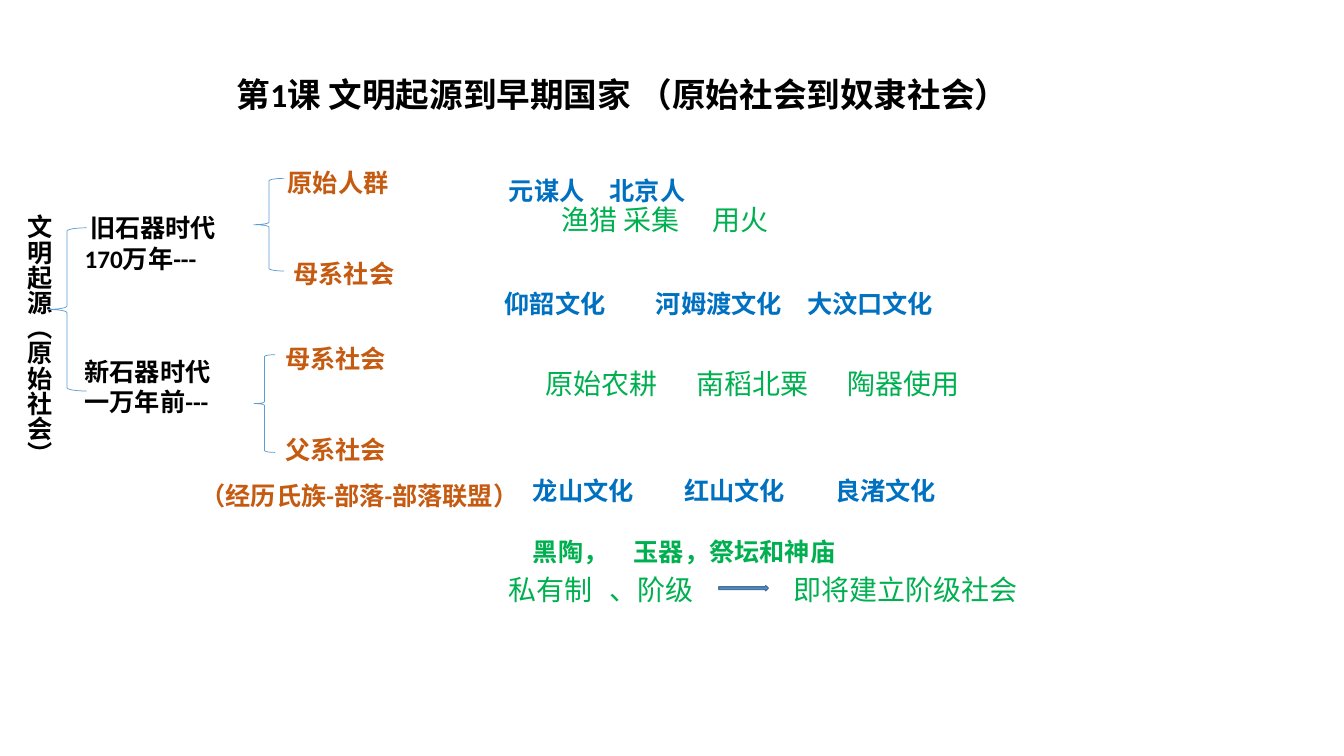
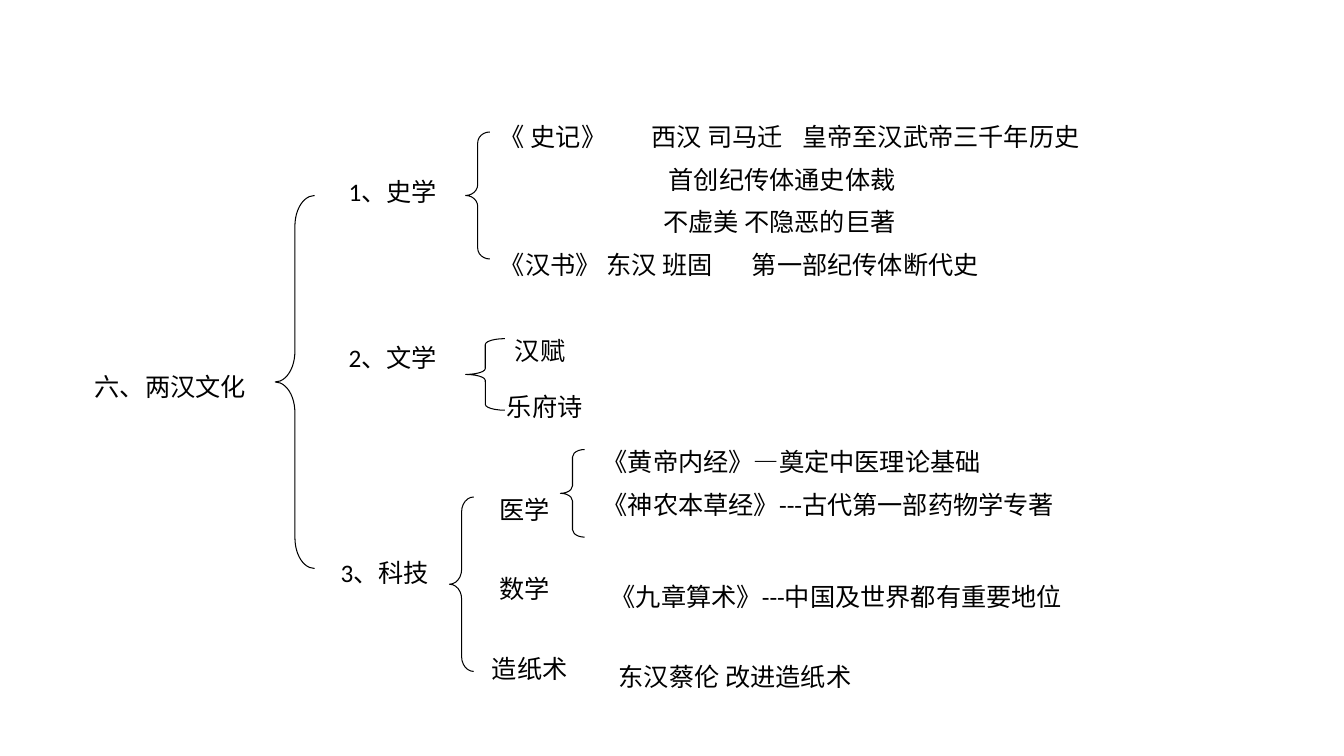
from collections import namedtuple

from lxml import etree
from pptx import Presentation
from pptx.dml.color import RGBColor
from pptx.enum.lang import MSO_LANGUAGE_ID
from pptx.enum.shapes import MSO_SHAPE
from pptx.enum.text import MSO_ANCHOR, MSO_AUTO_SIZE, PP_ALIGN
from pptx.oxml.ns import qn
from pptx.util import Pt

LEFT_BRACE = MSO_SHAPE.LEFT_BRACE
RIGHT_ARROW = MSO_SHAPE.RIGHT_ARROW
TOP = MSO_ANCHOR.TOP
GROW = MSO_AUTO_SIZE.SHAPE_TO_FIT_TEXT
ALIGN_LEFT = PP_ALIGN.LEFT
CHINESE = MSO_LANGUAGE_ID.SIMPLIFIED_CHINESE

# Shared look
BLACK = RGBColor(0x00, 0x00, 0x00)
ORANGE = RGBColor(0xC5, 0x5A, 0x11)
BLUE = RGBColor(0x00, 0x70, 0xC0)
GREEN = RGBColor(0x00, 0xB0, 0x50)
LINE_BLUE = RGBColor(0x5B, 0x9B, 0xD5)
ARROW_EDGE = RGBColor(0x43, 0x73, 0x9E)
LATIN_FONT = "Calibri"
CHINESE_FONT = "Noto Sans CJK SC"

TITLE_LAYOUT = 5
CONTENT_LAYOUT = 1
ROW = 28.8       # box height of one 18 pt line
TALL_ROW = 31.7  # box height of one 20 pt line
LINE = 21.7      # height of one 18 pt line
HALF = 9         # gap between list lines

Style = namedtuple("Style", "size color bold font", defaults=(BLACK, False, LATIN_FONT))
# tabs are distances from the left of the text, one for each tab character
Line = namedtuple("Line", "text indent before tabs style", defaults=(0, 0, (), None))

HEADING = Style(24, BLACK, True)
PERIOD = Style(18, BLACK, True)
SOCIETY = Style(18, ORANGE, True)
CULTURE = Style(18, BLUE, True, CHINESE_FONT)
RELIC = Style(18, GREEN, True, CHINESE_FONT)
FEATURE = Style(20, GREEN, False, CHINESE_FONT)
PLAIN = Style(18)


def place(shape, box):
    shape.left, shape.top, shape.width, shape.height = (Pt(length) for length in box)


def add_run(paragraph, text, style):
    run = paragraph.add_run()
    run.text = text
    font = run.font
    font.size = Pt(style.size)
    font.bold = style.bold
    font.color.rgb = style.color
    font.name = style.font
    font.language_id = CHINESE
    latin = run._r.rPr.find(qn("a:latin"))
    east_asian = etree.Element(qn("a:ea"), typeface=CHINESE_FONT)
    latin.addnext(east_asian)


def format_paragraph(paragraph, line):
    """Set alignment, gap, indent and tab stops, without a bullet."""
    paragraph.alignment = ALIGN_LEFT
    paragraph.space_before = Pt(line.before)
    properties = paragraph._p.get_or_add_pPr()
    properties.set("marL", str(Pt(line.indent)))
    properties.set("indent", "0")
    etree.SubElement(properties, qn("a:buNone"))
    if line.tabs:
        stops = etree.SubElement(properties, qn("a:tabLst"))
        for position in line.tabs:
            etree.SubElement(stops, qn("a:tab"), pos=str(Pt(position)), algn="l")


def fill_text(shape, box, lines, style):
    place(shape, box)
    frame = shape.text_frame
    frame.word_wrap = True
    frame.auto_size = GROW
    frame.vertical_anchor = TOP
    for index, line in enumerate(lines):
        paragraph = frame.add_paragraph() if index else frame.paragraphs[0]
        format_paragraph(paragraph, line)
        add_run(paragraph, line.text, line.style or style)


def add_label(slide, box, style, *lines):
    shape = slide.shapes.add_textbox(0, 0, 0, 0)
    fill_text(shape, box, lines, style)
    return shape


def add_title(slide, box, text, style):
    fill_text(slide.shapes.title, box, [Line(text)], style)


def add_preset(slide, kind, box, line_color, line_width):
    shape = slide.shapes.add_shape(kind, *(Pt(length) for length in box))
    shape.shadow.inherit = False
    shape.line.color.rgb = line_color
    shape.line.width = Pt(line_width)
    return shape


def add_brace(slide, box, color, width, curve=0.083):
    brace = add_preset(slide, LEFT_BRACE, box, color, width)
    brace.fill.background()
    brace.adjustments[0] = curve


def add_arrow(slide, box):
    arrow = add_preset(slide, RIGHT_ARROW, box, ARROW_EDGE, 1)
    arrow.fill.solid()
    arrow.fill.fore_color.rgb = LINE_BLUE


def build_origins(presentation):
    slide = presentation.slides.add_slide(presentation.slide_layouts[TITLE_LAYOUT])
    add_title(slide, (162, 49, 569.5, 36),
              "第1课 文明起源到早期国家 （原始社会到奴隶社会）", HEADING)

    # Root and periods
    root = add_label(slide, (6.5, 146.2, 36, 222.5), PERIOD, Line("文明起源（原始社会）"))
    root.text_frame._txBody.bodyPr.set("vert", "eaVert")
    add_label(slide, (53.3, 148.3, 193, 51.1), PERIOD,
              Line("旧石器时代", indent=4), Line("170万年---"))
    add_label(slide, (53.3, 250.6, 123.8, 51.1), PERIOD,
              Line("新石器时代"), Line("一万年前---"))

    # Societies
    add_label(slide, (169.9, 115.9, 174.2, 94.3), SOCIETY,
              Line("原始人群", indent=28.5), Line("母系社会", indent=32.6, before=2 * LINE))
    add_label(slide, (196.6, 241.9, 137.5, 94.3), SOCIETY,
              Line("母系社会"), Line("父系社会", before=2 * LINE))
    add_label(slide, (136.1, 339.8, 242.6, ROW), SOCIETY, Line("（经历氏族-部落-部落联盟）"))

    # Cultures and relics
    add_label(slide, (356.4, 121.7, 241.9, ROW), CULTURE, Line("元谋人\t北京人", tabs=(62.1,)))
    add_label(slide, (353.5, 202.3, 403.2, 51.1), CULTURE,
              Line("仰韶文化\t河姆渡文化\t大汶口文化", tabs=(80.1, 178.5)))
    add_label(slide, (373.5, 336.2, 494, 72.7), CULTURE,
              Line("龙山文化\t红山文化\t良渚文化", tabs=(120.8, 209.2)),
              Line("黑陶，\t玉器，祭坛和神庙", before=LINE, tabs=(111.2,), style=RELIC))

    # Ways of life
    add_label(slide, (393.8, 141.1, 254.2, TALL_ROW), FEATURE,
              Line("渔猎 采集\t用火", tabs=(94,)))
    add_label(slide, (382.3, 258.5, 349.9, TALL_ROW), FEATURE,
              Line("原始农耕\t南稻北粟\t陶器使用", tabs=(89, 178)))
    add_label(slide, (356.4, 405.4, 218.9, TALL_ROW), FEATURE,
              Line("私有制\t、阶级", tabs=(69,)))
    add_label(slide, (559.4, 405.4, 187.9, TALL_ROW), FEATURE, Line("即将建立阶级社会"))
    add_arrow(slide, (513.4, 418.3, 35.3, 3.6))

    # Braces
    for box in ((33.8, 162.7, 28.1, 116.6),
                (181.4, 127.4, 21.6, 66.2),
                (181.4, 253.4, 15.1, 69.8)):
        add_brace(slide, box, LINE_BLUE, 0.5)


def build_han_culture(presentation):
    slide = presentation.slides.add_slide(presentation.slide_layouts[CONTENT_LAYOUT])
    add_title(slide, (60.5, 261.4, 147.6, ROW), "六、两汉文化", PLAIN)

    # History books
    fill_text(slide.placeholders[1], (349.9, 82.8, 445.7, 127.4), [
        Line("《 史记》\t西汉 司马迁\t皇帝至汉武帝三千年历史", tabs=(84.2, 186.5)),
        Line("首创纪传体通史体裁", indent=120.5, before=HALF),
        Line("不虚美 不隐恶的巨著", indent=116.5, before=HALF),
        Line("《汉书》 东汉 班固\t第一部纪传体断代史", before=HALF, tabs=(160,)),
    ], PLAIN)

    # Medical books
    add_label(slide, (423.4, 315.4, 357.1, 61.2), PLAIN,
              Line("《黄帝内经》—奠定中医理论基础"),
              Line("《神农本草经》---古代第一部药物学专著", before=HALF))

    # Branches and one-line entries
    for left, top, width, text in (
            (241.9, 122.4, 175.7, "1、史学"),
            (241.9, 241.2, 85, "2、文学"),
            (236.2, 394.6, 108, "3、科技"),
            (360.7, 236.2, 85, "汉赋"),
            (355, 275.8, 108, "乐府诗"),
            (349.9, 349.2, 73.4, "医学"),
            (349.9, 406.1, 62.6, "数学"),
            (344.2, 463, 85, "造纸术"),
            (429.1, 411.8, 338.4, "《九章算术》---中国及世界都有重要地位"),
            (434.9, 468.7, 238.3, "东汉蔡伦 改进造纸术")):
        add_label(slide, (left, top, width, ROW), PLAIN, Line(text))

    # Braces
    for box, curve in (
            ((196.6, 139.7, 28.1, 266.4), 0.78),
            ((332.6, 94.3, 17.3, 90.7), 0.45),
            ((332.6, 241.9, 28.1, 51.1), 0.15),
            ((321.1, 355, 17.3, 124.6), 0.61),
            ((400.3, 321.1, 17.3, 62.6), 0.31)):
        add_brace(slide, box, BLACK, 0.75, curve)


def main():
    presentation = Presentation()
    presentation.slide_width = Pt(960)
    presentation.slide_height = Pt(540)
    build_origins(presentation)
    build_han_culture(presentation)
    presentation.save("out.pptx")


main()
